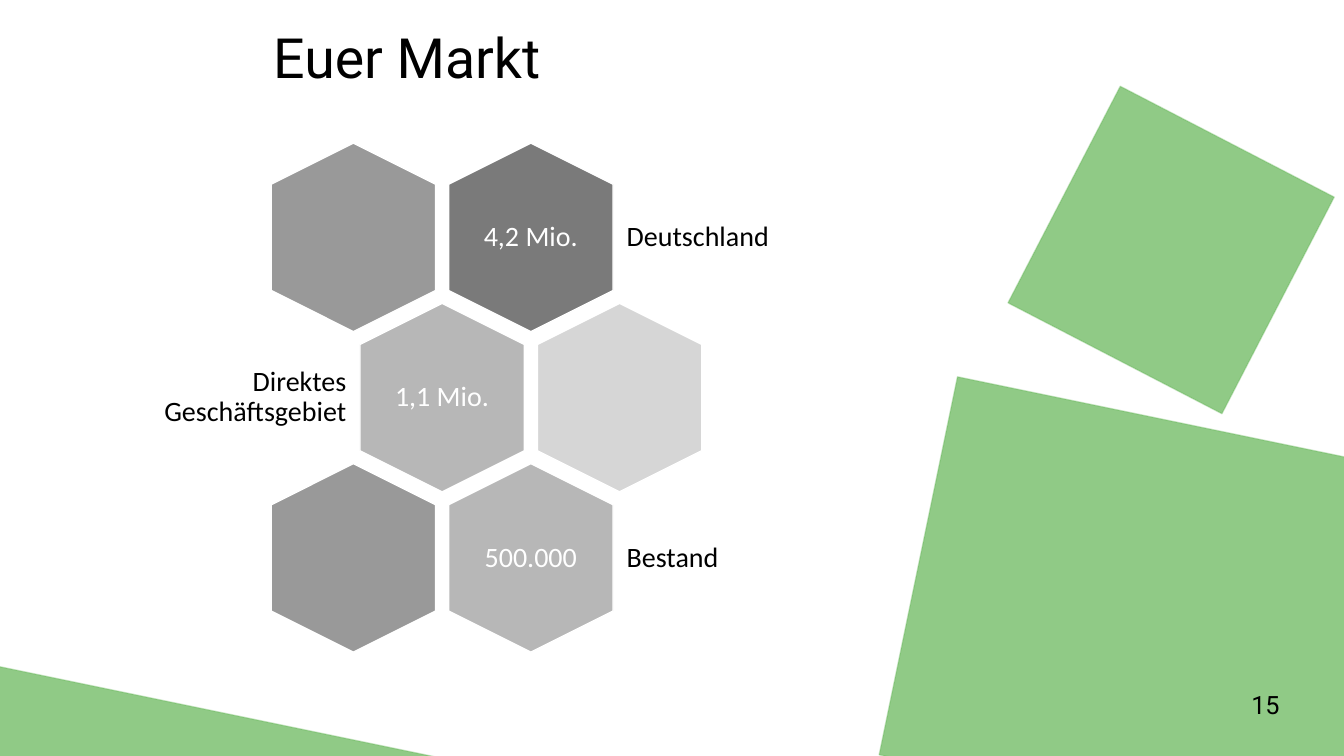
from lxml import etree
from pptx import Presentation, util as u
from pptx.dml.color import RGBColor
from pptx.enum import shapes, text
from pptx.oxml.ns import qn

GREEN = RGBColor(0x61, 0xB4, 0x53)
BLACK = RGBColor(0x00, 0x00, 0x00)
WHITE = RGBColor(0xFF, 0xFF, 0xFF)
DARK = RGBColor(0x7A, 0x7A, 0x7A)
MEDIUM = RGBColor(0x99, 0x99, 0x99)
LIGHT = RGBColor(0xB7, 0xB7, 0xB7)
PALE = RGBColor(0xD6, 0xD6, 0xD6)

WIDTH, HEIGHT = 13.33, 7.5
TITLE_BOX = (2.61, 0.26, 9.8, 0.69)
NUMBER_BOX = (12.02, 6.79, 0.77, 0.4)
HONEYCOMB_BOX = (2.69, 1.42, 4.27, 5.05)
GREEN_SQUARES = [
    ((10.42, 1.27, 2.39, 2.42), 27.4),
    ((9.06, 4.17, 4.65, 3.83), 11.7),
    ((-0.66, 7, 4.65, 3.83), 11.7),
]

HEX_LENGTH, HEX_BREADTH = 1.87, 1.63
COLUMN_STEP, ROW_STEP = 1.76, 1.59
VALUE_WIDTH, VALUE_HEIGHT = 1.12, 1.29
LABEL_WIDTH, LABEL_HEIGHT, LABEL_GAP = 2.09, 1.12, 0.87
INSET = 0.08

CELLS = [
    (0, 0, MEDIUM, "", "", None),
    (0, 1, DARK, "4,2 Mio.", "Deutschland", text.PP_ALIGN.LEFT),
    (1, 0, LIGHT, "1,1 Mio.", "Direktes Geschäftsgebiet", text.PP_ALIGN.RIGHT),
    (1, 1, PALE, "", "", None),
    (2, 0, MEDIUM, "", "", None),
    (2, 1, LIGHT, "500.000", "Bestand", text.PP_ALIGN.LEFT),
]


def inches(box):
    """Convert a box of plain numbers to lengths."""
    return [u.Inches(value) for value in box]


def centred(x, y, width, height):
    """Return the box of the given size around a centre."""
    return x - width / 2, y - height / 2, width, height


def write(frame, content, font, size, colour, align, spacing=None):
    """Fill a text frame with one formatted paragraph."""
    frame.word_wrap = True
    frame.text = content
    paragraph = frame.paragraphs[0]
    paragraph.alignment = align
    paragraph.line_spacing = spacing
    run_font = paragraph.runs[0].font
    run_font.name, run_font.size = font, u.Pt(size)
    run_font.color.rgb = colour


def add_filled(parent, kind, box, rotation, fill, line):
    """Add a rotated preset shape without shadow."""
    shape = parent.add_shape(kind, *inches(box))
    shape.rotation = rotation
    shape.shadow.inherit = False
    shape.fill.solid()
    shape.fill.fore_color.rgb = fill
    shape.line.color.rgb = line
    shape.line.width = u.Pt(1)
    return shape


def add_background(slide, squares):
    """Place the translucent tilted green squares."""
    for box, rotation in squares:
        square = add_filled(slide.shapes, shapes.MSO_SHAPE.RECTANGLE,
                            box, rotation, GREEN, GREEN)
        colours = square._element.spPr.iter(qn("a:srgbClr"))
        for colour, percent in zip(list(colours), (70, 33)):
            etree.SubElement(colour, qn("a:alpha"), val=str(percent * 1000))


def add_title(slide, box, content):
    """Move and format the title placeholder."""
    title = slide.shapes.title
    title.left, title.top, title.width, title.height = inches(box)
    frame = title.text_frame
    frame.auto_size = text.MSO_AUTO_SIZE.NONE
    frame.vertical_anchor = text.MSO_ANCHOR.MIDDLE
    write(frame, content, "Roboto", 39.6, BLACK, text.PP_ALIGN.LEFT, 0.9)


def add_number(slide, box, content):
    """Write the page number in the corner."""
    frame = slide.shapes.add_textbox(*inches(box)).text_frame
    write(frame, content, "Roboto", 18, BLACK, text.PP_ALIGN.RIGHT)


def add_caption(parent, box, content, colour, align):
    """Add a vertically centred text to the honeycomb."""
    frame = parent.add_textbox(*inches(box)).text_frame
    frame.margin_left = frame.margin_right = u.Inches(INSET)
    frame.margin_top = frame.margin_bottom = u.Inches(INSET)
    frame.vertical_anchor = text.MSO_ANCHOR.MIDDLE
    write(frame, content, "Calibri", 20, colour, align, 0.9)


def add_honeycomb(slide, box, cells):
    """Lay out upright hexagons in staggered rows with values and labels."""
    left, top, _, _ = box
    parent = slide.shapes.add_group_shape().shapes
    for row, column, fill, value, label, align in cells:
        x = left + HEX_BREADTH / 2 + (column + row % 2 / 2) * COLUMN_STEP
        y = top + HEX_LENGTH / 2 + row * ROW_STEP
        hexagon = add_filled(parent, shapes.MSO_SHAPE.HEXAGON,
                             centred(x, y, HEX_LENGTH, HEX_BREADTH),
                             90, fill, WHITE)
        hexagon.adjustments[0] = 0.25
        if value:
            add_caption(parent, centred(x, y, VALUE_WIDTH, VALUE_HEIGHT),
                        value, WHITE, text.PP_ALIGN.CENTER)
        if label:
            side = 1 if align == text.PP_ALIGN.LEFT else -1
            label_x = x + side * (LABEL_GAP + LABEL_WIDTH / 2)
            add_caption(parent, centred(label_x, y, LABEL_WIDTH, LABEL_HEIGHT),
                        label, BLACK, align)


def main():
    """Build and save the market slide."""
    presentation = Presentation()
    presentation.slide_width = u.Inches(WIDTH)
    presentation.slide_height = u.Inches(HEIGHT)
    slide = presentation.slides.add_slide(presentation.slide_layouts[5])
    add_background(slide, GREEN_SQUARES)
    add_number(slide, NUMBER_BOX, "15")
    add_title(slide, TITLE_BOX, "Euer Markt")
    add_honeycomb(slide, HONEYCOMB_BOX, CELLS)
    presentation.save("out.pptx")


if __name__ == "__main__":
    main()
